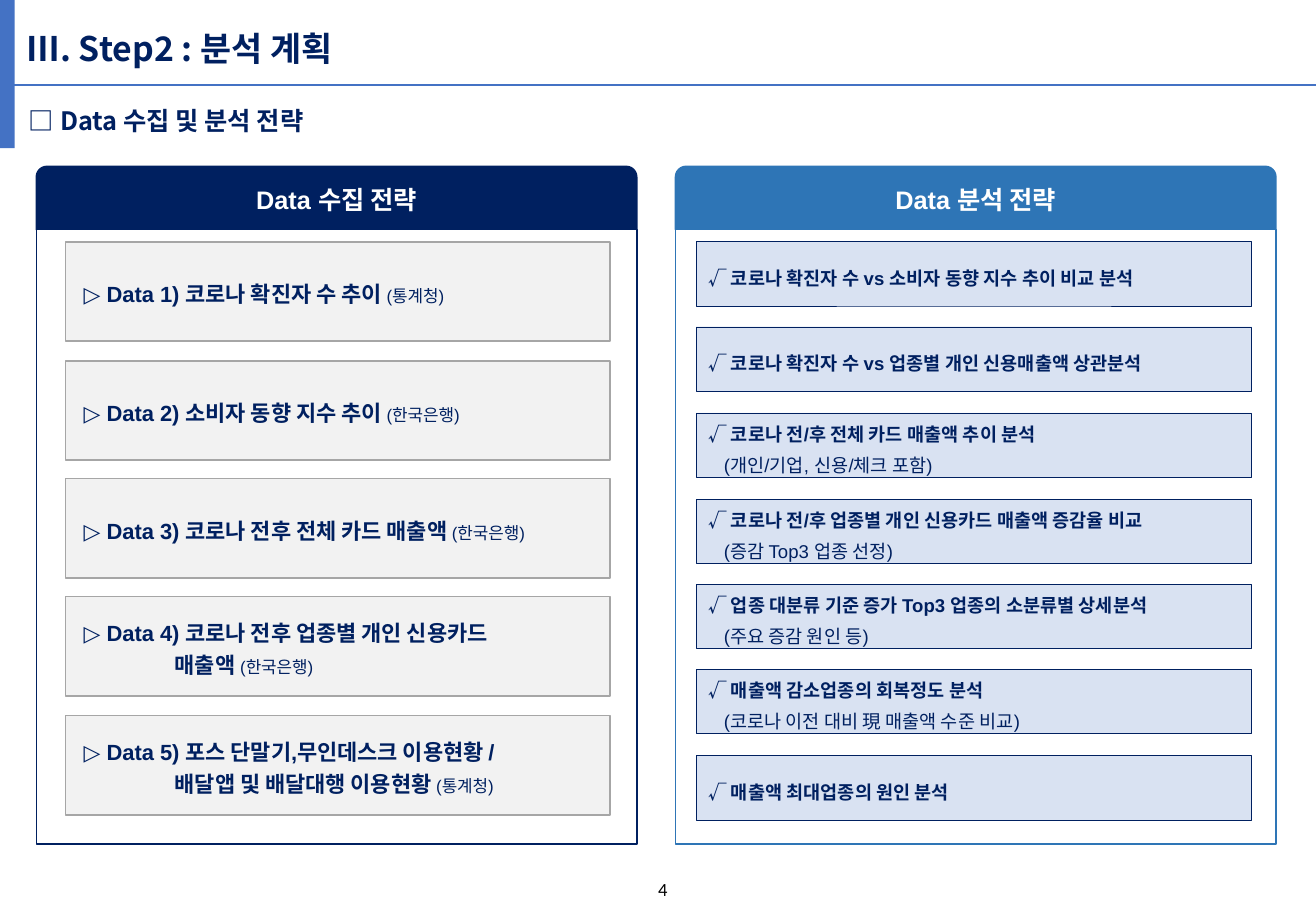
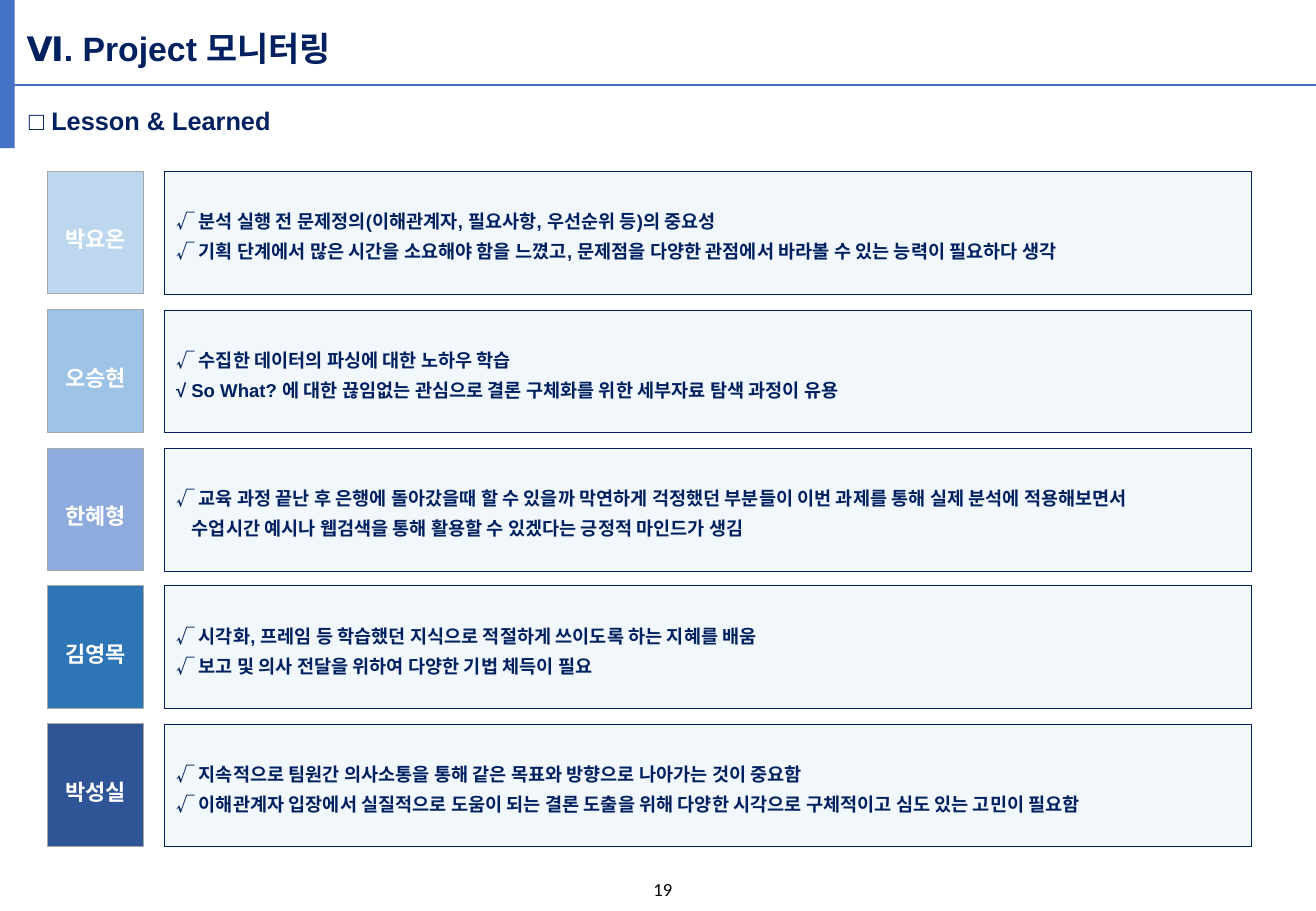
from pptx import Presentation
from pptx import util as u
from pptx.dml.color import RGBColor
from pptx.enum import shapes, text
from pptx.oxml import ns
from lxml import etree

PX = 9144  # EMU per px, 100 px to the inch
W, H = 1083, 750
C = {
    "navy": "002060", "blue": "2E75B6", "accent": "4472C4",
    "white": "FFFFFF", "black": "000000", "gray": "A6A6A6", "pale": "F2F2F2",
    "periwinkle": "B4C7E7", "mist": "DEEBF7",
}
KOREAN = "Noto Sans CJK KR"
LEFT, CENTER = text.PP_ALIGN.LEFT, text.PP_ALIGN.CENTER
RECT = shapes.MSO_SHAPE.RECTANGLE
ROUND_TOP = shapes.MSO_SHAPE.ROUND_2_SAME_RECTANGLE


def rgb(value):
    return RGBColor.from_string(value)


def emu(*lengths):
    return [n * PX for n in lengths]


def spread(top, height, item, count):
    """Tops of equal items that fill a height with equal gaps."""
    step = (height - item) / (count - 1)
    return [top + round(i * step) for i in range(count)]


def style(r, size, color, bold=True, font="Arial"):
    r.font.size, r.font.bold, r.font.name = u.Pt(size), bold, font
    r.font.color.rgb = rgb(color)
    ea = etree.SubElement(r.font._element, ns.qn("a:ea"))
    ea.set("typeface", KOREAN)


def write(p, runs, color, align=LEFT, spacing=None, indent=0, font="Arial"):
    """Fill a paragraph with (text, size, bold) runs."""
    p.alignment = align
    if spacing:
        p.line_spacing = spacing
    if indent:
        p._p.get_or_add_pPr().set("marL", str(indent * PX))
    for words, size, bold in runs:
        r = p.add_run()
        r.text = words
        style(r, size, color, bold, font)


def add_box(slide, box, fill, line=None, weight=1, alpha=None, kind=RECT):
    s = slide.shapes.add_shape(kind, *emu(*box))
    s.shadow.inherit = False
    s.fill.solid()
    s.fill.fore_color.rgb = rgb(fill)
    if alpha:
        color = s._element.spPr.find(ns.qn("a:solidFill"))[0]
        etree.SubElement(color, ns.qn("a:alpha")).set("val", str(alpha * 1000))
    if line:
        s.line.color.rgb = rgb(line)
        s.line.width = u.Pt(weight)
    else:
        s.line.fill.background()
    tf = s.text_frame
    tf.word_wrap = True
    tf.vertical_anchor = text.MSO_ANCHOR.MIDDLE
    return s


def add_lines(s, lines, spacing):
    """Write (indent, runs) lines, one paragraph each."""
    tf = s.text_frame
    for i, (indent, runs) in enumerate(lines):
        p = tf.add_paragraph() if i else tf.paragraphs[0]
        write(p, runs, C["navy"], spacing=spacing, indent=indent)


def add_label(slide, box, words, size, color, font, bold=True, align=LEFT, grow=True):
    tf = slide.shapes.add_textbox(*emu(*box)).text_frame
    tf.word_wrap = True
    if grow:
        tf.auto_size = text.MSO_AUTO_SIZE.SHAPE_TO_FIT_TEXT
    write(tf.paragraphs[0], [(words, size, bold)], color, align, font=font)


def add_frame(prs, title, subtitle, number, font):
    """Slide with title rule, side band, headings and page number."""
    slide = prs.slides.add_slide(prs.slide_layouts[6])
    rule = slide.shapes.add_connector(shapes.MSO_CONNECTOR.STRAIGHT, *emu(3, 70, W, 70))
    rule.line.color.rgb = rgb(C["accent"])
    rule.line.width = u.Pt(1.5)
    etree.SubElement(rule._element.spPr, ns.qn("a:effectLst"))
    add_box(slide, (0, 0, 12, 122), C["accent"])
    add_label(slide, (12, 18, 822, 44), title, 20, C["navy"], font)
    add_label(slide, (14, 82, 822, 35), subtitle, 15, C["navy"], font)
    add_label(slide, (433, 718, 225, 24), number, 11, C["black"], "Calibri",
              bold=False, align=CENTER, grow=False)
    return slide


def add_panel(slide, box, heading, color):
    """Rounded header over an outlined body; returns the top of the body."""
    x, y, w, h = box
    head = 52
    s = add_box(slide, (x, y, w, head), color, color, kind=ROUND_TOP)
    write(s.text_frame.paragraphs[0], [(heading, 15, True)], C["white"], CENTER)
    add_box(slide, (x, y + head, w, h - head), C["white"], color)
    return y + head


def collection_panel(slide, box, heading, items):
    x, top = box[0], add_panel(slide, box, heading, C["navy"])
    for y, (first, second, source) in zip(spread(top + 10, 472, 82, len(items)), items):
        s = add_box(slide, (x + 24, y, 448, 82), C["pale"], C["gray"])
        lines = [(5, [(first, 13, True)])]
        if second:
            lines.append((80, [(second, 13, True)]))
        lines[-1][1].append((source, 10, False))
        add_lines(s, lines, 1.2)


def analysis_panel(slide, box, heading, items):
    x, top = box[0], add_panel(slide, box, heading, C["blue"])
    for y, (task, detail) in zip(spread(top + 10, 476, 53, len(items)), items):
        s = add_box(slide, (x + 17, y, 457, 53), C["periwinkle"], C["navy"], 0.25, alpha=50)
        lines = [(0, [(task, 11, True)])]
        if detail:
            lines.append((13, [(detail, 11, False)]))
        add_lines(s, lines, 1.4)


def lesson_rows(slide, box, lessons):
    """One name tile and one note box for each member."""
    x, top, w, h = box
    row, tile, note_x = 101, 79, 96
    for y, (name, color, notes) in zip(spread(top, h, row, len(lessons)), lessons):
        s = add_box(slide, (x, y, tile, row), color, C["gray"], 0.5)
        write(s.text_frame.paragraphs[0], [(name, 13, True)], C["white"], CENTER, 1.5)
        s = add_box(slide, (x + note_x, y, w - note_x, row), C["mist"], C["navy"], 0.25, alpha=40)
        # A line without a check mark continues the one above
        lines = [(0 if n.startswith("√") else 13, [(n, 11, True)]) for n in notes]
        add_lines(s, lines, 1.35)


COLLECTION = [
    ("▷ Data 1) 코로나 확진자 수 추이 ", None, "(통계청)"),
    ("▷ Data 2) 소비자 동향 지수 추이 ", None, "(한국은행)"),
    ("▷ Data 3) 코로나 전후 전체 카드 매출액 ", None, "(한국은행)"),
    ("▷ Data 4) 코로나 전후 업종별 개인 신용카드", "매출액 ", "(한국은행)"),
    ("▷ Data 5) 포스 단말기,무인데스크 이용현황 /", "배달앱 및 배달대행 이용현황 ", "(통계청)"),
]
ANALYSIS = [
    ("√ 코로나 확진자 수 vs 소비자 동향 지수 추이 비교 분석", None),
    ("√ 코로나 확진자 수 vs 업종별 개인 신용매출액 상관분석", None),
    ("√ 코로나 전/후 전체 카드 매출액 추이 분석", "(개인/기업, 신용/체크 포함)"),
    ("√ 코로나 전/후 업종별 개인 신용카드 매출액 증감율 비교", "(증감 Top3 업종 선정)"),
    ("√ 업종 대분류 기준 증가 Top3 업종의 소분류별 상세분석", "(주요 증감 원인 등)"),
    ("√ 매출액 감소업종의 회복정도 분석", "(코로나 이전 대비 現 매출액 수준 비교)"),
    ("√ 매출액 최대업종의 원인 분석", None),
]
LESSONS = [
    ("박요온", "BDD7EE", [
        "√ 분석 실행 전 문제정의(이해관계자, 필요사항, 우선순위 등)의 중요성",
        "√ 기획 단계에서 많은 시간을 소요해야 함을 느꼈고, 문제점을 다양한 관점에서 바라볼 수 있는 능력이 필요하다 생각"]),
    ("오승현", "9DC3E6", [
        "√ 수집한 데이터의 파싱에 대한 노하우 학습",
        "√ So What? 에 대한 끊임없는 관심으로 결론 구체화를 위한 세부자료 탐색 과정이 유용"]),
    ("한혜형", "8FAADC", [
        "√ 교육 과정 끝난 후 은행에 돌아갔을때 할 수 있을까 막연하게 걱정했던 부분들이 이번 과제를 통해 실제 분석에 적용해보면서",
        "수업시간 예시나 웹검색을 통해 활용할 수 있겠다는 긍정적 마인드가 생김"]),
    ("김영목", C["blue"], [
        "√ 시각화, 프레임 등 학습했던 지식으로 적절하게 쓰이도록 하는 지혜를 배움",
        "√ 보고 및 의사 전달을 위하여 다양한 기법 체득이 필요"]),
    ("박성실", "2F5597", [
        "√ 지속적으로 팀원간 의사소통을 통해 같은 목표와 방향으로 나아가는 것이 중요함",
        "√ 이해관계자 입장에서 실질적으로 도움이 되는 결론 도출을 위해 다양한 시각으로 구체적이고 심도 있는 고민이 필요함"]),
]


def main():
    prs = Presentation()
    prs.slide_width, prs.slide_height = emu(W, H)

    # Collection and analysis strategy
    slide = add_frame(prs, "Ⅲ. Step2 : 분석 계획", "□ Data 수집 및 분석 전략", "4", KOREAN)
    collection_panel(slide, (30, 137, 494, 558), "Data 수집 전략", COLLECTION)
    analysis_panel(slide, (556, 137, 494, 558), "Data 분석 전략", ANALYSIS)

    # Lessons learned
    slide = add_frame(prs, "Ⅵ. Project 모니터링", "□ Lesson & Learned", "19", "Arial")
    lesson_rows(slide, (39, 141, 991, 556), LESSONS)

    prs.save("out.pptx")


if __name__ == "__main__":
    main()
